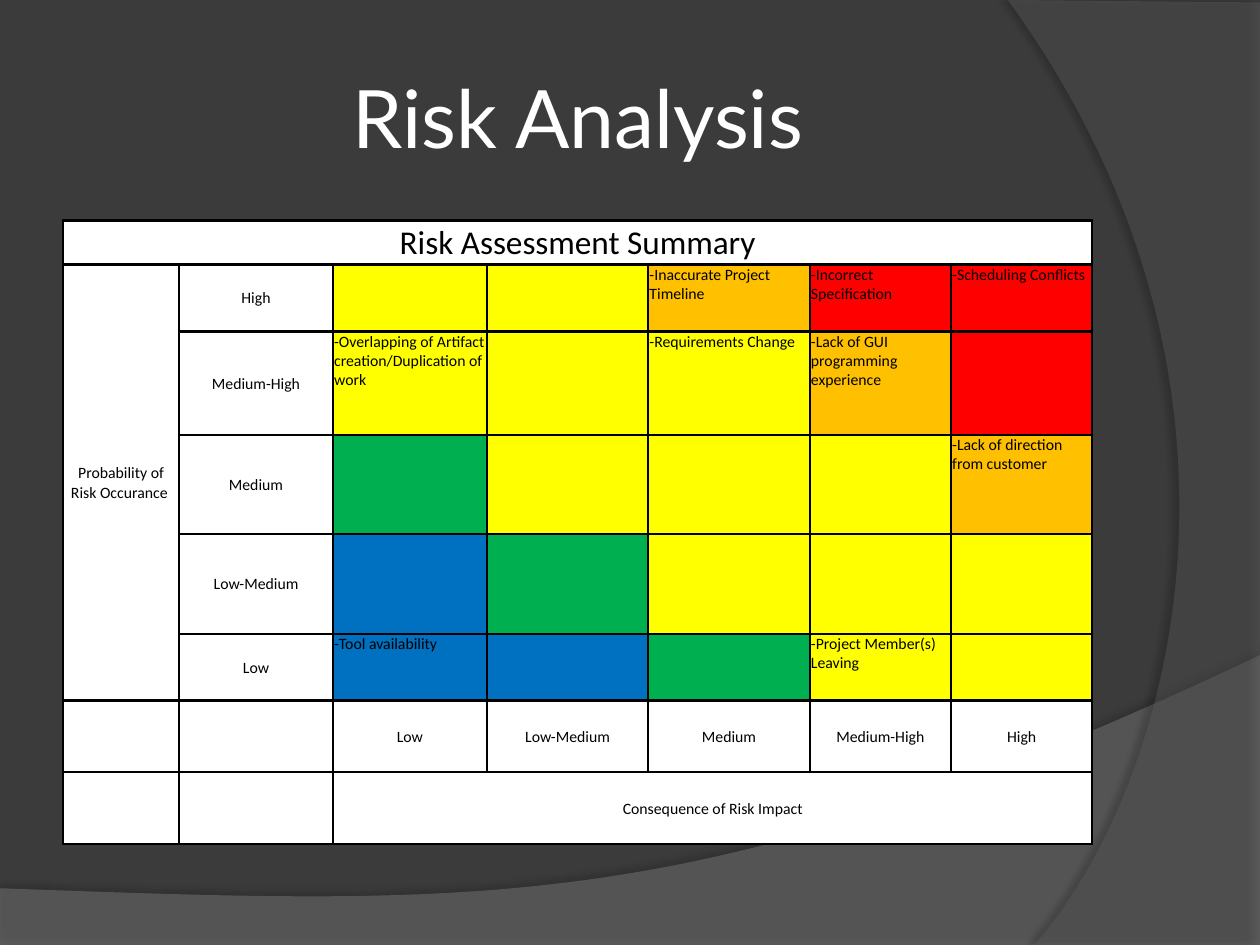
from lxml.etree import SubElement as Sub
from pptx import Presentation
from pptx.dml.color import RGBColor as RGB
from pptx.enum.shapes import MSO_SHAPE as Shape
from pptx.enum.text import MSO_ANCHOR as Anchor, PP_ALIGN as Align
from pptx.oxml.ns import qn
from pptx.util import Emu, Inches, Pt

# Content
TITLE = "Risk Analysis"
HEAD = "Risk Assessment Summary"
SIDE = "Probability of Risk Occurance "
FOOT = "Consequence of Risk Impact"
LEVELS = ["Low", "Low-Medium", "Medium", "Medium-High", "High"]
# One row per probability, highest first; one letter per consequence
HEAT = ["YYORR", "YYYOR", "GYYYO", "BGYYY", "BBGYY"]
RISKS = {  # (heat row, heat column): risk
    (0, 2): "-Inaccurate Project Timeline",
    (0, 3): "-Incorrect Specification",
    (0, 4): "-Scheduling Conflicts",
    (1, 0): "-Overlapping of Artifact creation/Duplication of work",
    (1, 2): "-Requirements Change",
    (1, 3): "-Lack of GUI programming experience",
    (2, 4): "-Lack of direction from customer",
    (4, 0): "-Tool availability",
    (4, 3): "-Project Member(s) Leaving",
}

THEME = {
    "back": "3B3B3B", "wave": "7F7F7F", "arc": "5E5E5E",
    "paper": "FFFFFF", "ink": "000000",
    "heat": {"Y": "FFFF00", "O": "FFC000", "R": "FF0000",
             "G": "00B050", "B": "0070C0"},
    "title": ("Lato", 46), "head": ("Calibri", 19), "cell": ("Calibri", 9),
    "rule": 1.5,
}

# Layout: the slide is a grid of 40 columns by 30 rows
UNIT = Inches(0.25)
LEFT, WIDE = 2, 32.68
TITLE_BOX = (LEFT, 1.2, WIDE, 5)
TABLE_BOX = (LEFT, 7, WIDE, 19.8)
COLS = [0.92, 1.22, 1.22, 1.28, 1.28, 1.12, 1.12]   # relative widths
ROWS = [0.35, 0.53, 0.82, 0.79, 0.79, 0.53, 0.57, 0.57]  # relative heights
# Edges: straight corners, then a curve from the last corner (two handles, end)
WAVE = ([(0, 28.2), (0, 30), (40, 30), (40, 20.8)],
        [(22.36, 29.16), (15.64, 28.76), (0, 28.2)])
ARC = ([(40, 0.08), (40, 30), (32.84, 30)],
       [(37.4, 24.76), (40.72, 12), (32, 0)])


def grid(*vals):
    return [Emu(round(v * UNIT)) for v in vals]


def paint(fill, hue):
    fill.solid()
    fill.fore_color.rgb = RGB.from_string(hue)


def write(frame, text, style, hue, align=Align.CENTER):
    para = frame.paragraphs[0]
    para.alignment = align
    run = para.add_run()
    run.text = text
    run.font.name, size = THEME[style]
    run.font.size = Pt(size)
    run.font.color.rgb = RGB.from_string(hue)


def bend(start, ctrl, steps=60):
    pts = [start, *ctrl]
    for i in range(1, steps + 1):
        t = i / steps
        mix = [(1 - t) ** 3, 3 * t * (1 - t) ** 2, 3 * t * t * (1 - t), t ** 3]
        yield tuple(sum(m * p[k] for m, p in zip(mix, pts)) for k in (0, 1))


def swoosh(slide, edge, hue, alpha, shade, dist, turn):
    line, ctrl = edge
    pts = [grid(*p) for p in [*line, *bend(line[-1], ctrl)]]
    pen = slide.shapes.build_freeform(*pts[0])
    pen.add_line_segments(pts[1:], close=True)
    form = pen.convert_to_shape()
    form.shadow.inherit = False
    form.line.fill.background()
    paint(form.fill, hue)
    props = form._element.spPr
    Sub(props.find(".//" + qn("a:srgbClr")), qn("a:alpha"), val=str(alpha * 1000))
    cast = Sub(props.find(qn("a:effectLst")), qn("a:outerShdw"),
               blurRad=str(Pt(4)), dist=str(Pt(dist)), dir=str(turn * 60000),
               algn="ctr", rotWithShape="0")
    tint = Sub(cast, qn("a:srgbClr"), val=THEME["ink"])
    Sub(tint, qn("a:alpha"), val=str(shade * 1000))


def frame_cell(cell):
    props = cell._tc.get_or_add_tcPr()
    for side in ("lnL", "lnR", "lnT", "lnB"):
        rule = Sub(props, qn("a:" + side), w=str(Pt(THEME["rule"])))
        Sub(Sub(rule, qn("a:solidFill")), qn("a:srgbClr"), val=THEME["ink"])
    cell.margin_left = cell.margin_right = cell.margin_top = Inches(0.01)
    cell.margin_bottom = 0
    paint(cell.fill, THEME["paper"])


def label(cell, text, style="cell"):
    cell.vertical_anchor = Anchor.MIDDLE
    write(cell.text_frame, text, style, THEME["ink"])


def add_matrix(slide):
    box = grid(*TABLE_BOX)
    table = slide.shapes.add_table(len(ROWS), len(COLS), *box).table
    table.first_row = table.horz_banding = False
    for col, part in zip(table.columns, COLS):
        col.width = Emu(round(box[2] * part / sum(COLS)))
    for row, part in zip(table.rows, ROWS):
        row.height = Emu(round(box[3] * part / sum(ROWS)))
    for cell in table.iter_cells():
        frame_cell(cell)

    # Merged headings
    for first, last, text, style in [((0, 0), (0, 6), HEAD, "head"),
                                     ((1, 0), (5, 0), SIDE, "cell"),
                                     ((7, 2), (7, 6), FOOT, "cell")]:
        table.cell(*first).merge(table.cell(*last))
        label(table.cell(*first), text, style)

    # Levels on both axes, then the heat map
    for i, name in enumerate(LEVELS):
        label(table.cell(5 - i, 1), name)
        label(table.cell(6, 2 + i), name)
    for r, line in enumerate(HEAT):
        for c, key in enumerate(line):
            cell = table.cell(r + 1, c + 2)
            paint(cell.fill, THEME["heat"][key])
            if (r, c) in RISKS:
                write(cell.text_frame, RISKS[r, c], "cell", THEME["ink"], Align.LEFT)


def main():
    deck = Presentation()
    deck.slide_width, deck.slide_height = grid(40, 30)
    slide = deck.slides.add_slide(deck.slide_layouts[6])

    # Backdrop
    paint(slide.background.fill, THEME["back"])
    swoosh(slide, WAVE, THEME["wave"], 45, 35, 3.5, 270)
    swoosh(slide, ARC, THEME["arc"], 40, 45, 4, 180)

    # Title
    frame = slide.shapes.add_textbox(*grid(*TITLE_BOX)).text_frame
    frame.word_wrap = True
    frame.vertical_anchor = Anchor.MIDDLE
    write(frame, TITLE, "title", THEME["paper"])

    # White panel under the matrix
    panel = slide.shapes.add_shape(Shape.RECTANGLE, *grid(*TABLE_BOX))
    panel.shadow.inherit = False
    panel.line.fill.background()
    paint(panel.fill, THEME["paper"])
    add_matrix(slide)
    deck.save("out.pptx")


if __name__ == "__main__":
    main()
